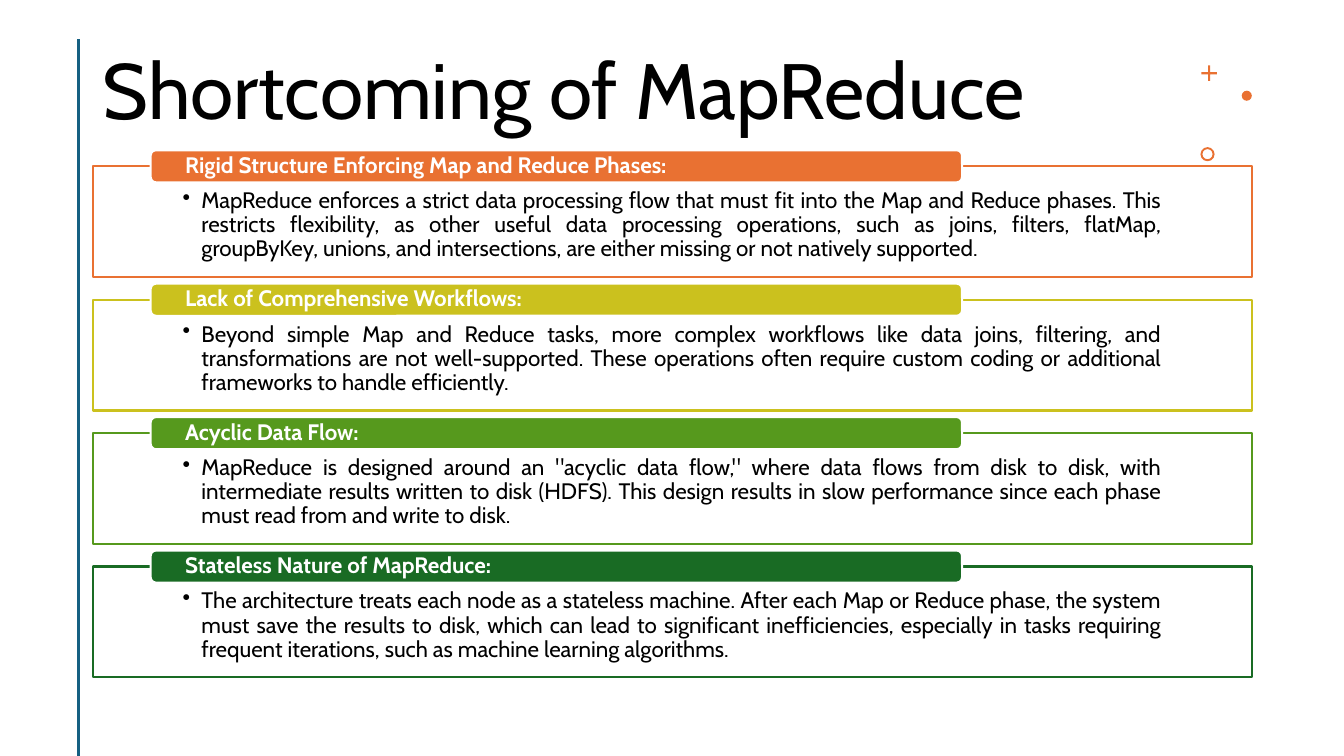
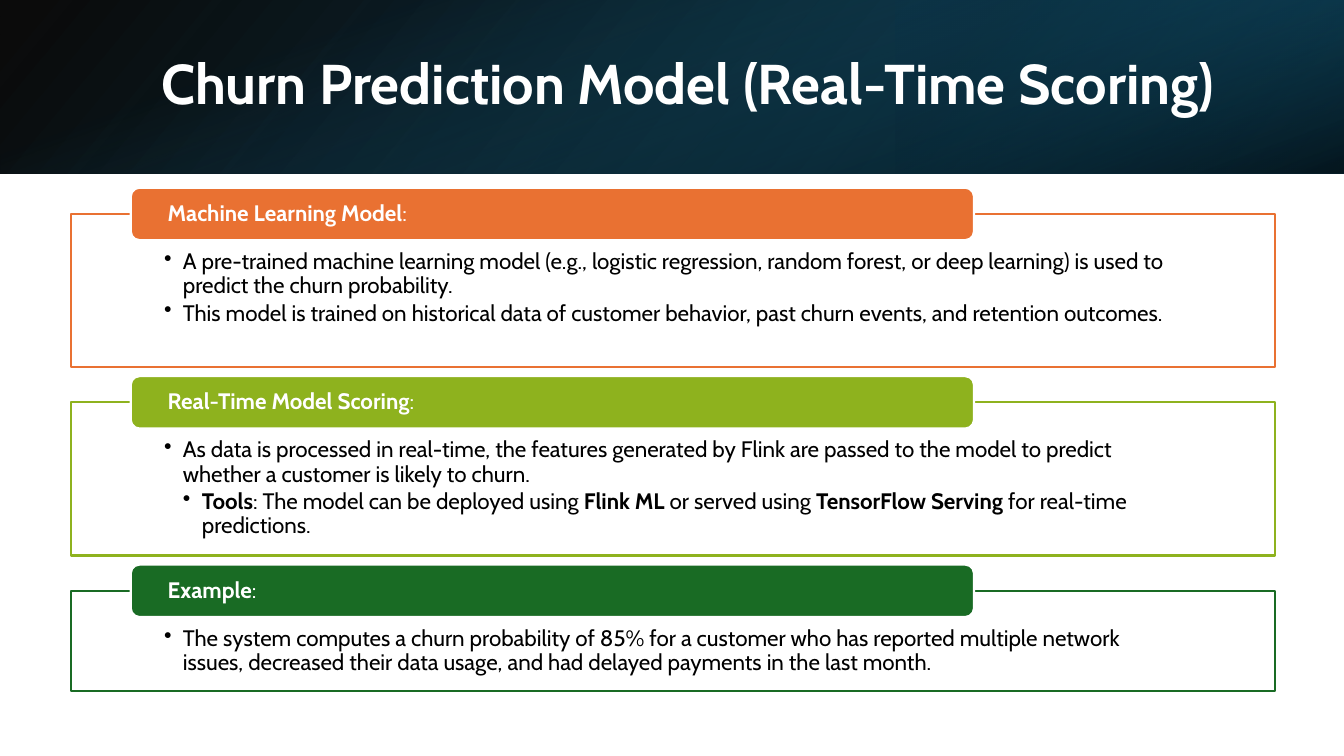
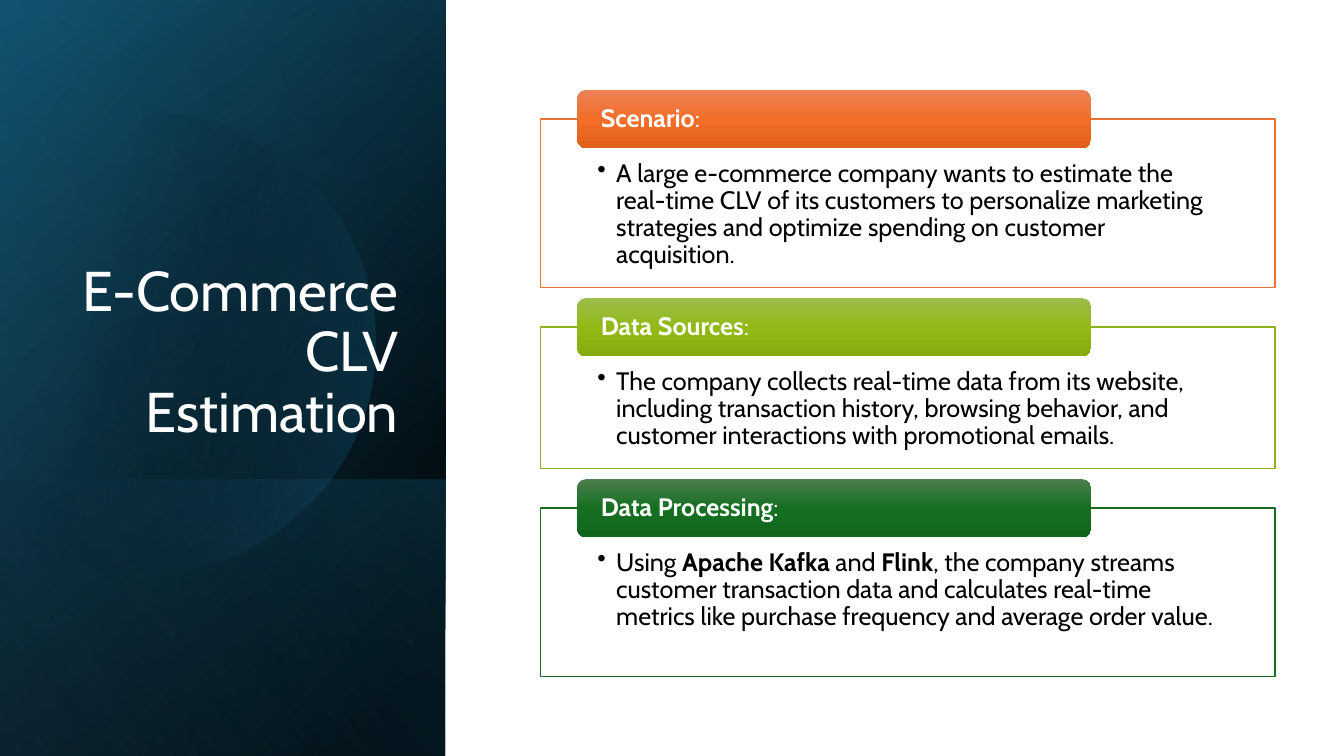
import math

import pptx
import pptx.dml.color
import pptx.enum.shapes
import pptx.enum.text
import pptx.oxml
import pptx.oxml.ns
import pptx.util
from lxml import etree

Pt = pptx.util.Pt
RGB = pptx.dml.color.RGBColor
SHAPE = pptx.enum.shapes.MSO_SHAPE
ALIGN = pptx.enum.text.PP_ALIGN
ANCHOR = pptx.enum.text.MSO_ANCHOR
qn = pptx.oxml.ns.qn

FONT = "Cabin"
BLACK = RGB(0x00, 0x00, 0x00)
WHITE = RGB(0xFF, 0xFF, 0xFF)
ORANGE = RGB(0xE9, 0x71, 0x32)
MUSTARD = RGB(0xCB, 0xC1, 0x1E)
LIME = RGB(0x8E, 0xB2, 0x1E)
LEAF = RGB(0x56, 0x99, 0x1D)
GREEN = RGB(0x19, 0x6B, 0x24)
TEAL = RGB(0x15, 0x60, 0x82)
NAVY = RGB(0x10, 0x48, 0x62)
DEEP = RGB(0x0B, 0x30, 0x41)
SKY = RGB(0x46, 0xB1, 0xE1)

# Tab gradients, top to bottom
GLOSS = {
    ORANGE: (RGB(0xED, 0x82, 0x57), RGB(0xF2, 0x6E, 0x29), RGB(0xE2, 0x5F, 0x1A)),
    LIME: (RGB(0x9C, 0xBD, 0x4E), RGB(0x92, 0xB9, 0x16), RGB(0x85, 0xAB, 0x0D)),
    GREEN: (RGB(0x4D, 0x7E, 0x50), RGB(0x15, 0x6F, 0x21), RGB(0x0F, 0x66, 0x1B)),
}

# Panels: colour, height, heading, list of (level, text); *stars* mark bold
LIMITS = [
    (ORANGE, 79.2, "*Rigid Structure Enforcing Map and Reduce Phases:*", [
        (1, "MapReduce enforces a strict data processing flow that must fit into the Map and "
            "Reduce phases. This restricts flexibility, as other useful data processing "
            "operations, such as joins, filters, flatMap, groupByKey, unions, and "
            "intersections, are either missing or not natively supported.")]),
    (MUSTARD, 79.2, "*Lack of Comprehensive Workflows:*", [
        (1, "Beyond simple Map and Reduce tasks, more complex workflows like data joins, "
            "filtering, and transformations are not well-supported. These operations often "
            "require custom coding or additional frameworks to handle efficiently.")]),
    (LEAF, 79.2, "*Acyclic Data Flow:*", [
        (1, 'MapReduce is designed around an "acyclic data flow," where data flows from disk '
            "to disk, with intermediate results written to disk (HDFS). This design results "
            "in slow performance since each phase must read from and write to disk.")]),
    (GREEN, 79.2, "*Stateless Nature of MapReduce:*", [
        (1, "The architecture treats each node as a stateless machine. After each Map or "
            "Reduce phase, the system must save the results to disk, which can lead to "
            "significant inefficiencies, especially in tasks requiring frequent iterations, "
            "such as machine learning algorithms.")]),
]
CHURN = [
    (ORANGE, 109.4, "*Machine Learning Model*:", [
        (1, "A pre-trained machine learning model (e.g., logistic regression, random forest, "
            "or deep learning) is used to predict the churn probability."),
        (1, "This model is trained on historical data of customer behavior, past churn "
            "events, and retention outcomes.")]),
    (LIME, 109.4, "*Real-Time Model Scoring*:", [
        (1, "As data is processed in real-time, the features generated by Flink are passed "
            "to the model to predict whether a customer is likely to churn."),
        (2, "*Tools*: The model can be deployed using *Flink ML* or served using "
            "*TensorFlow Serving* for real-time predictions.")]),
    (GREEN, 71.3, "*Example*:", [
        (1, "The system computes a churn probability of 85% for a customer who has reported "
            "multiple network issues, decreased their data usage, and had delayed payments "
            "in the last month.")]),
]
VALUE = [
    (ORANGE, 120.2, "*Scenario*:", [
        (1, "A large e-commerce company wants to estimate the real-time CLV of its customers "
            "to personalize marketing strategies and optimize spending on customer "
            "acquisition.")]),
    (LIME, 100.8, "*Data Sources*:", [
        (1, "The company collects real-time data from its website, including transaction "
            "history, browsing behavior, and customer interactions with promotional "
            "emails.")]),
    (GREEN, 120.2, "*Data Processing*:", [
        (1, "Using *Apache Kafka* and *Flink*, the company streams customer transaction data "
            "and calculates real-time metrics like purchase frequency and average order "
            "value.")]),
]

# Bands: visible box, rotation, flip, gradient angle, stops (position, colour, opacity)
TOP = (0, 0, 960, 123.8)
SIDE = (0, 0, 318.2, 540)
TOP_BANDS = [
    (TOP, 0, True, 140, [(0, BLACK, 96), (100, NAVY, 100)]),
    ((640, 0, 320, 123.8), 180, True, 320, [(19, DEEP, 68), (100, TEAL, 79)]),
    (TOP, 90, False, 340, [(23, TEAL, 0), (99, BLACK, 74)]),
]
SIDE_BANDS = [
    (SIDE, 90, True, 50, [(8, BLACK, 100), (100, NAVY, 100)]),
    (SIDE, 90, True, 30, [(0, BLACK, 0), (99, TEAL, 46)]),
    ((0, 342.7, 318.2, 197.3), 90, True, 130, [(2, TEAL, 29), (100, BLACK, 30)]),
]
SHEEN = (SIDE, 90, True, 120, [(0, BLACK, 0), (99, SKY, 11)])
DISC = (103, 244.8, 165)
DISC_STOPS = [(29, BLACK, 0), (100, TEAL, 43)]

# Ornaments: shape, box, adjustment
MARKS = [
    (SHAPE.CROSS, (858.2, 46.8, 11, 11), 0.43),
    (SHAPE.OVAL, (887, 64.8, 7.2, 7.2), None),
    (SHAPE.DONUT, (857.5, 105.1, 10.1, 10.1), 0.14),
]


def blend(shape, angle, stops):
    """Fill a shape with a linear gradient."""
    shape.fill.background()
    marks = "".join(
        f'<a:gs pos="{pos * 1000}"><a:srgbClr val="{color}">'
        f'<a:alpha val="{alpha * 1000}"/></a:srgbClr></a:gs>'
        for pos, color, alpha in stops)
    grad = pptx.oxml.parse_xml(
        f'<a:gradFill {pptx.oxml.ns.nsdecls("a")} rotWithShape="1"><a:gsLst>{marks}</a:gsLst>'
        f'<a:lin ang="{angle * 60000}" scaled="0"/></a:gradFill>')
    props = shape.element.spPr
    props.replace(props.find(qn("a:noFill")), grad)


def draw(slide, kind, box, fill=None, line=None, width=1.5):
    shape = slide.shapes.add_shape(kind, *map(Pt, box))
    shape.shadow.inherit = False
    if fill is not None:
        shape.fill.solid()
        shape.fill.fore_color.rgb = fill
    if line is None:
        shape.line.fill.background()
    else:
        shape.line.color.rgb = line
        shape.line.width = Pt(width)
    return shape


def band(slide, box, turn, flip, angle, stops):
    left, top, wide, high = box
    if turn == 90:
        left, top = left + (wide - high) / 2, top + (high - wide) / 2
        wide, high = high, wide
    shape = draw(slide, SHAPE.RECTANGLE, (left, top, wide, high))
    shape.rotation = turn
    if flip:
        shape.element.spPr.xfrm.set("flipH", "1")
    blend(shape, angle, stops)


def disc(slide, x, y, radius):
    """Draw a circle cut off at the left slide edge."""
    cut = math.acos(-x / radius)
    steps = 90
    angles = [-cut + 2 * cut * i / steps for i in range(steps + 1)]
    points = [(Pt(x + radius * math.cos(a)), Pt(y + radius * math.sin(a))) for a in angles]
    pen = slide.shapes.build_freeform(*points[0])
    pen.add_line_segments(points[1:])
    shape = pen.convert_to_shape()
    shape.shadow.inherit = False
    shape.line.fill.background()
    blend(shape, 14, DISC_STOPS)


def style(run, size, color, bold):
    font = run.font
    font.name, font.size, font.bold = FONT, Pt(size), bold
    font.color.rgb = color


def write(para, text, size, color, align):
    para.alignment = align
    para.line_spacing = 0.9
    for i, piece in enumerate(text.split("*")):
        if piece:
            run = para.add_run()
            run.text = piece
            style(run, size, color, i % 2 == 1)


def frame(shape, side, top, bottom, anchor):
    text = shape.text_frame
    text.word_wrap = True
    text.vertical_anchor = anchor
    text.margin_left = text.margin_right = Pt(side)
    text.margin_top, text.margin_bottom = Pt(top), Pt(bottom)
    return text


def title(slide, text, box, size, color, bold=False, align=ALIGN.LEFT, anchor=ANCHOR.MIDDLE):
    """Place the title above everything drawn so far."""
    shape = slide.shapes.title
    shape.left, shape.top, shape.width, shape.height = map(Pt, box)
    body = frame(shape, 7.2, 3.6, 3.6, anchor)
    body.auto_size = pptx.enum.text.MSO_AUTO_SIZE.NONE
    body.text = text
    para = body.paragraphs[0]
    para.alignment, para.line_spacing = align, 0.9
    style(para.runs[0], size, color, bold)
    shape.element.getparent().append(shape.element)


def panels(slide, rows, left, top, wide, gap, tab, inset, size,
           align=ALIGN.LEFT, gloss=False):
    """Stack outlined lists, each with a heading tab centred on its top edge."""
    for color, high, head, items in rows:
        box = draw(slide, SHAPE.RECTANGLE, (left, top, wide, high), WHITE, color,
                   1 if gloss else 1.5)
        body = frame(box, wide * 0.0776, inset, 8.6, ANCHOR.TOP)
        for i, (level, text) in enumerate(items):
            para = body.add_paragraph() if i else body.paragraphs[0]
            write(para, text, size, BLACK, align)
            para.space_after = Pt(2.4)
            para.level = level
            props = para._p.get_or_add_pPr()
            props.set("marL", str(Pt(13.5 * level)))
            props.set("indent", str(-Pt(13.5)))
            etree.SubElement(props, qn("a:buChar")).set("char", "•")
        label = draw(slide, SHAPE.ROUNDED_RECTANGLE,
                     (left + wide * 0.05, top - tab / 2, wide * 0.7, tab),
                     color, None if gloss else WHITE)
        if gloss:
            blend(label, 90, [(50 * i, c, 100) for i, c in enumerate(GLOSS[color])])
        text = frame(label, wide * 0.0285, 0, 0, ANCHOR.MIDDLE)
        write(text.paragraphs[0], head, size, WHITE, ALIGN.LEFT)
        top += high + gap


def limits(slide):
    title(slide, "Shortcoming of MapReduce", (66.2, 28.8, 774.7, 76.3), 56, BLACK)
    rule = slide.shapes.add_connector(pptx.enum.shapes.MSO_CONNECTOR.STRAIGHT,
                                      Pt(56.2), Pt(28), Pt(56.2), Pt(540))
    rule.line.color.rgb = TEAL
    rule.line.width = Pt(2)
    etree.SubElement(rule.element.spPr, qn("a:effectLst"))
    for kind, box, adjust in MARKS:
        mark = draw(slide, kind, box, ORANGE)
        if adjust is not None:
            mark.adjustments[0] = adjust
    panels(slide, LIMITS, 66.2, 118.8, 828, 16.1, 23, 16.4, 16, ALIGN.JUSTIFY)


def churn(slide):
    for item in TOP_BANDS:
        band(slide, *item)
    title(slide, "Churn Prediction Model (Real-Time Scoring)",
          (108, 27.4, 790.6, 69.1), 40, WHITE, bold=True)
    panels(slide, CHURN, 50.4, 152.8, 860.4, 25.2, 37.4, 25.9, 16)


def value(slide):
    for item in SIDE_BANDS:
        band(slide, *item)
    disc(slide, *DISC)
    band(slide, *SHEEN)
    title(slide, "E-Commerce CLV Estimation", (46.1, 132.5, 245.5, 188.6), 40, WHITE,
          align=ALIGN.RIGHT, anchor=ANCHOR.BOTTOM)
    panels(slide, VALUE, 385.9, 85, 524.9, 28.5, 41.8, 29.5, 18, gloss=True)


def main():
    deck = pptx.Presentation()
    deck.slide_width, deck.slide_height = Pt(960), Pt(540)
    for build in (limits, churn, value):
        build(deck.slides.add_slide(deck.slide_layouts[5]))
    deck.save("out.pptx")


if __name__ == "__main__":
    main()
